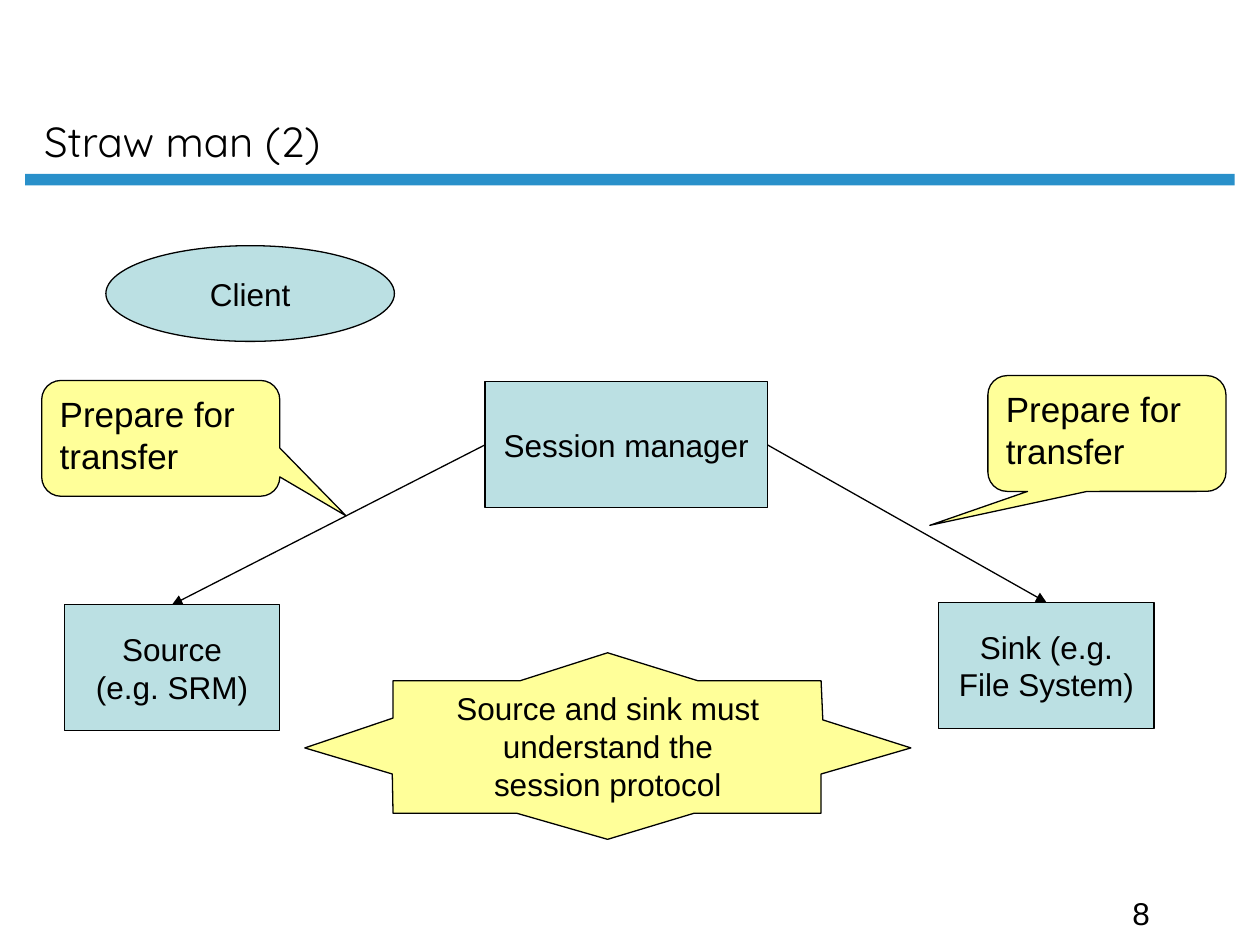
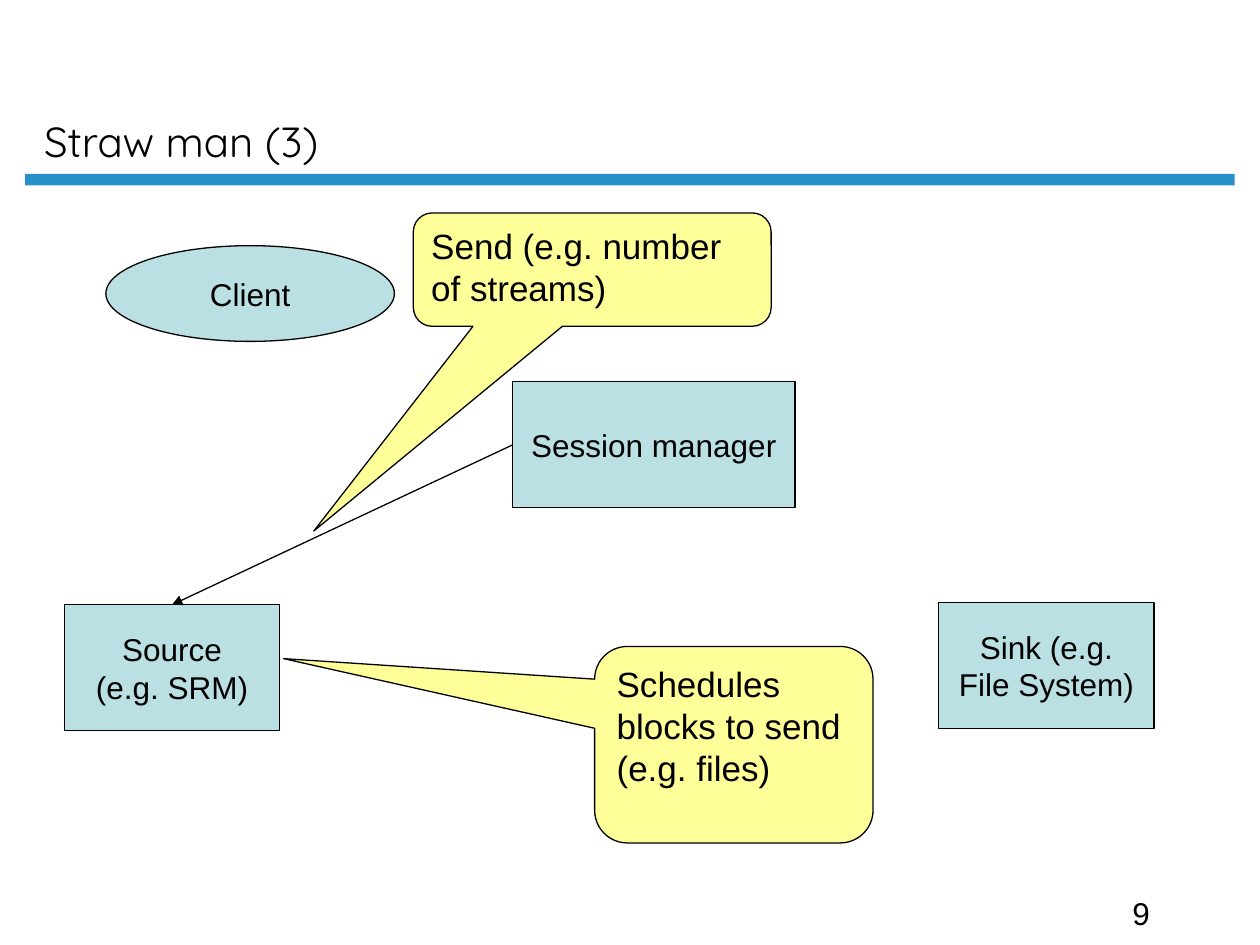
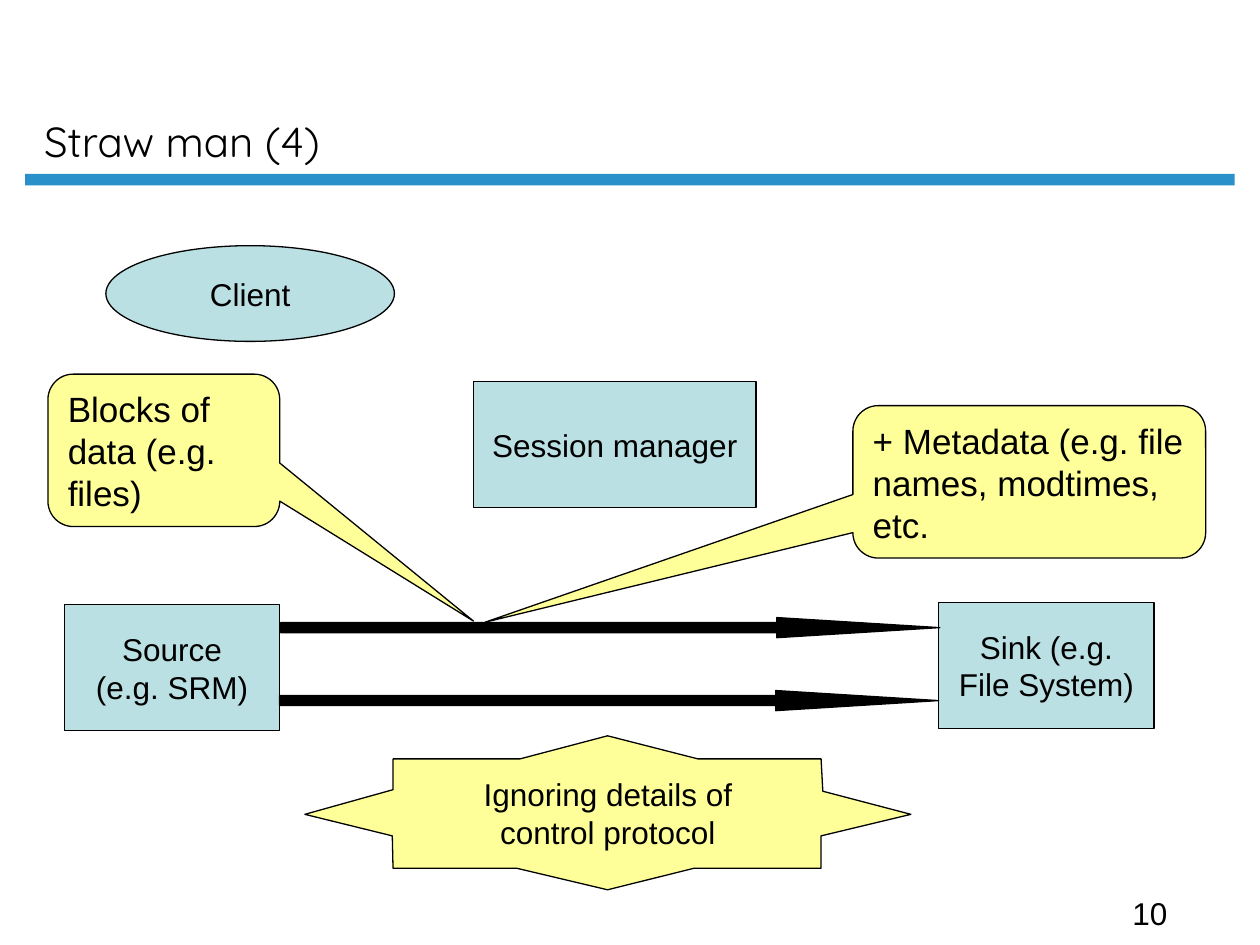
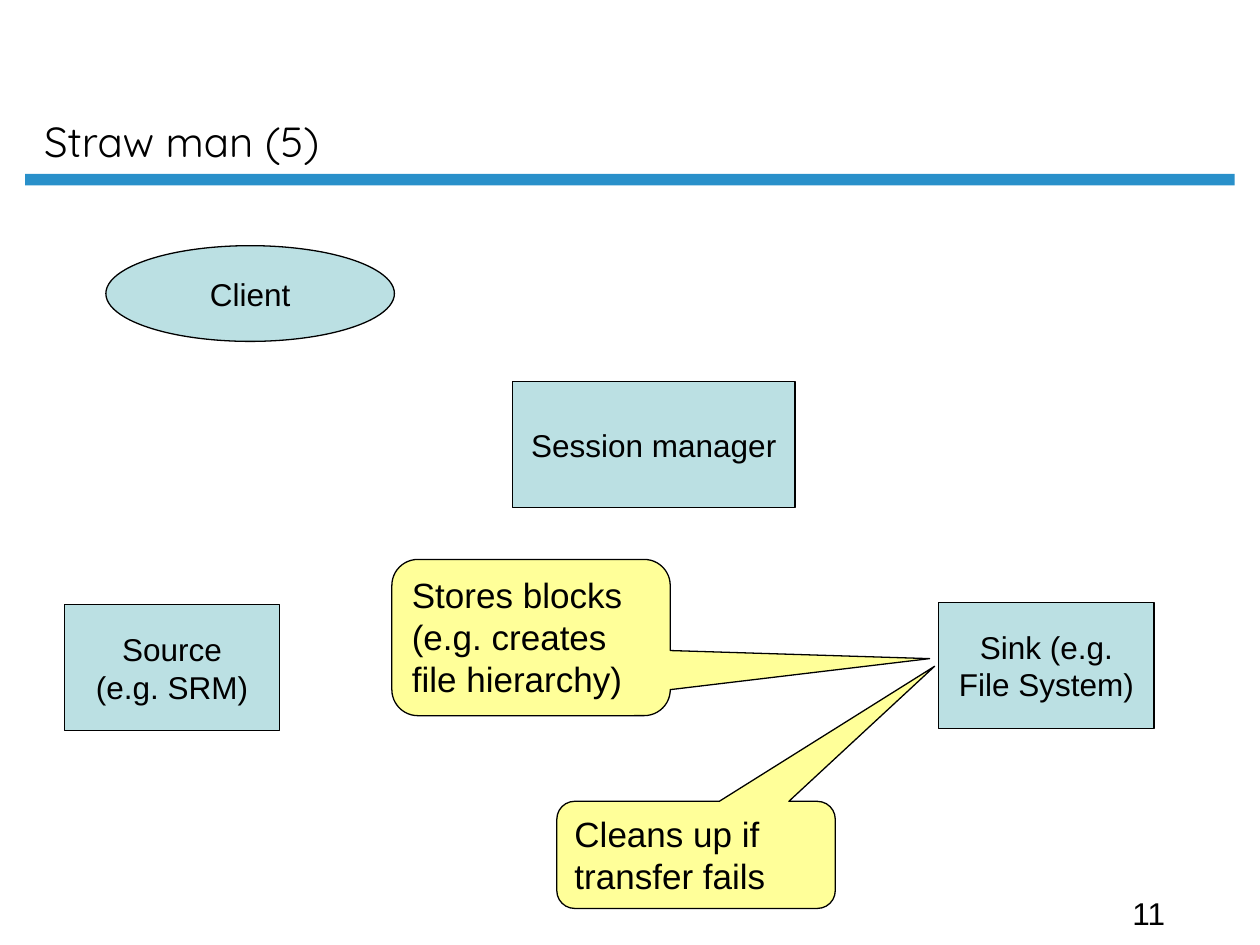
import dataclasses

import pptx
import pptx.dml.color
import pptx.enum.shapes
import pptx.enum.text
import pptx.oxml
import pptx.oxml.ns
import pptx.util

Pt = pptx.util.Pt
Shape = pptx.enum.shapes.MSO_SHAPE
Align = pptx.enum.text.PP_ALIGN
Anchor = pptx.enum.text.MSO_ANCHOR


@dataclasses.dataclass(frozen=True)
class Theme:
    ink: str = "000000"
    band: str = "2990CA"
    node: str = "BBE0E3"
    note: str = "FFFF99"
    title_font: str = "Quicksand"
    body_font: str = "Arial"
    title_size: float = 24
    note_size: float = 20
    node_size: float = 18
    line_width: float = 0.75


THEME = Theme()

# Boxes are left, top, width, height in points
TITLE_BOX = (18, 8.6, 616.3, 90)
BAND_BOX = (14.4, 99.4, 691.2, 6.5)
NUMBER_BOX = (640, 507.6, 79, 28.8)
CLIENT_BOX = (60.5, 140.4, 164.9, 54.7)
SOURCE_BOX = (36.7, 345.6, 123.1, 72)
SINK_BOX = (536.4, 344.2, 123.1, 72)
SESSION_TOP, SESSION_WIDTH, SESSION_HEIGHT = 218.2, 161.3, 72

# Connection sites of a rectangle
TOP, LEFT, RIGHT = 0, 1, 3

# Star outline: x in points from the left, y as a share of the height
STAR_LEFT, STAR_INSET = 174.2, 84
STAR_OUTLINE = [
    (0, 0.51), (50, 0.65), (50.4, 0.86), (121, 0.86), (173, 1), (222.5, 0.86),
    (295, 0.86), (295, 0.65), (346.3, 0.51), (296, 0.36), (295, 0.15),
    (224.6, 0.15), (173, 0), (123, 0.15), (50.4, 0.15), (50.4, 0.35),
]


def color(value):
    return pptx.dml.color.RGBColor.from_string(value)


def write_text(frame, text, size=THEME.node_size, font=THEME.body_font,
               align=Align.LEFT, anchor=Anchor.TOP, side_inset=7.2):
    """Fill a text frame; each line of the text becomes a paragraph."""
    frame.word_wrap = True
    frame.auto_size = pptx.enum.text.MSO_AUTO_SIZE.NONE
    frame.vertical_anchor = anchor
    frame.margin_left = frame.margin_right = Pt(side_inset)
    frame.margin_top = frame.margin_bottom = Pt(3.6)
    frame.text = text
    for paragraph in frame.paragraphs:
        paragraph.alignment = align
        for run in paragraph.runs:
            run.font.size = Pt(size)
            run.font.name = font
            run.font.color.rgb = color(THEME.ink)


class Deck:
    def __init__(self, theme):
        self.theme = theme
        self.presentation = pptx.Presentation()
        self.presentation.slide_width = Pt(720)
        self.presentation.slide_height = Pt(540)
        self.layout = self.presentation.slide_layouts[5]
        self.slide = None

    def add_slide(self, title, number):
        first = self.slide is None
        self.slide = self.presentation.slides.add_slide(self.layout)
        if first:
            self.put_band_on_layout()
        # Title placeholder
        holder = self.slide.shapes.title
        holder.left, holder.top, holder.width, holder.height = map(Pt, TITLE_BOX)
        write_text(holder.text_frame, title, size=self.theme.title_size,
                   font=self.theme.title_font, anchor=Anchor.BOTTOM)
        # Slide number
        box = self.slide.shapes.add_textbox(*map(Pt, NUMBER_BOX))
        write_text(box.text_frame, str(number))

    def put_band_on_layout(self):
        for holder in list(self.layout.placeholders):
            if holder.placeholder_format.idx != 0:
                holder.element.getparent().remove(holder.element)
        band = self.shape(Shape.RECTANGLE, BAND_BOX, self.theme.band)
        band.line.fill.background()
        self.layout.shapes.element.append(band.element)

    def paint(self, shape, fill):
        shape.shadow.inherit = False
        shape.fill.solid()
        shape.fill.fore_color.rgb = color(fill)
        shape.line.color.rgb = color(self.theme.ink)
        shape.line.width = Pt(self.theme.line_width)
        return shape

    def shape(self, kind, box, fill):
        return self.paint(self.slide.shapes.add_shape(kind, *map(Pt, box)), fill)

    def node(self, text, box, kind=Shape.RECTANGLE):
        node = self.shape(kind, box, self.theme.node)
        write_text(node.text_frame, text, align=Align.CENTER, anchor=Anchor.MIDDLE)
        return node

    def actors(self, session_left):
        """Draw the four parties and return those that arrows join."""
        session = self.node("Session manager", (
            session_left, SESSION_TOP, SESSION_WIDTH, SESSION_HEIGHT))
        self.node("Client", CLIENT_BOX, kind=Shape.OVAL)
        source = self.node("Source\n(e.g. SRM)", SOURCE_BOX)
        sink = self.node("Sink (e.g. File System)", SINK_BOX)
        return session, source, sink

    def callout(self, text, box, tip):
        left, top, width, height = box
        callout = self.shape(Shape.ROUNDED_RECTANGULAR_CALLOUT, box, self.theme.note)
        callout.adjustments[0] = (tip[0] - left) / width - 0.5
        callout.adjustments[1] = (tip[1] - top) / height - 0.5
        write_text(callout.text_frame, text, size=self.theme.note_size)

    def arrow(self, start, start_site, end, end_site):
        arrow = self.slide.shapes.add_connector(
            pptx.enum.shapes.MSO_CONNECTOR.STRAIGHT, 0, 0, 0, 0)
        arrow.begin_connect(start, start_site)
        arrow.end_connect(end, end_site)
        arrow.line.color.rgb = color(self.theme.ink)
        arrow.line.width = Pt(self.theme.line_width)
        # Arrowhead, and no shadow
        namespace = pptx.oxml.ns.nsdecls("a")
        arrow.line._get_or_add_ln().append(
            pptx.oxml.parse_xml(f'<a:tailEnd {namespace} type="triangle"/>'))
        arrow.element.spPr.append(
            pptx.oxml.parse_xml(f"<a:effectLst {namespace}/>"))

    def data_arrow(self, left, top):
        arrow = self.shape(Shape.RIGHT_ARROW, (left, top, 376.6, 11.5), self.theme.ink)
        arrow.adjustments[0] = 0.5
        arrow.adjustments[1] = 8.09

    def star(self, text, top, height):
        points = [(Pt(STAR_LEFT + x), Pt(top + share * height))
                  for x, share in STAR_OUTLINE]
        builder = self.slide.shapes.build_freeform(*points[0])
        builder.add_line_segments(points[1:], close=True)
        star = self.paint(builder.convert_to_shape(), self.theme.note)
        write_text(star.text_frame, text, align=Align.CENTER,
                   anchor=Anchor.MIDDLE, side_inset=STAR_INSET)


def prepare_slide(deck):
    deck.add_slide("Straw man (2)", 8)
    session, source, sink = deck.actors(277.2)
    deck.callout("Prepare for transfer", (23.8, 217.4, 136.1, 66.2), (197.8, 294.8))
    deck.arrow(session, LEFT, source, TOP)
    deck.arrow(session, RIGHT, sink, TOP)
    deck.callout("Prepare for transfer", (564.5, 214.6, 136.1, 66.2), (531.3, 300.2))
    deck.star("Source and sink must understand the session protocol", 373, 106.6)


def send_slide(deck):
    deck.add_slide("Straw man (3)", 9)
    session, source, _ = deck.actors(293)
    deck.callout("Send (e.g. number of streams)",
                 (236.2, 121.7, 204.5, 64.8), (179.3, 303.5))
    deck.arrow(session, LEFT, source, TOP)
    deck.callout("Schedules blocks to send (e.g. files)",
                 (339.8, 369.4, 159.1, 112.3), (162, 376.4))


def transfer_slide(deck):
    deck.add_slide("Straw man (4)", 10)
    deck.actors(270.7)
    deck.data_arrow(160.4, 352.9)
    deck.data_arrow(159.8, 394.6)
    deck.callout("Blocks of data (e.g. files)",
                 (27.4, 213.8, 132.5, 87.1), (270.6, 354.9))
    deck.callout("+ Metadata (e.g. file names, modtimes, etc.",
                 (487.4, 231.8, 201.6, 87.1), (277.1, 355.6))
    deck.star("Ignoring details of control protocol", 420.5, 88)


def store_slide(deck):
    deck.add_slide("Straw man (5)", 11)
    deck.actors(293)
    deck.callout("Stores blocks (e.g. creates file hierarchy)",
                 (223.9, 319.7, 159.1, 89.3), (531.2, 376.4))
    deck.callout("Cleans up if transfer fails",
                 (318.2, 457.9, 159.1, 61.2), (534.1, 380.7))


def main():
    deck = Deck(THEME)
    for build in (prepare_slide, send_slide, transfer_slide, store_slide):
        build(deck)
    deck.presentation.save("out.pptx")


if __name__ == "__main__":
    main()
